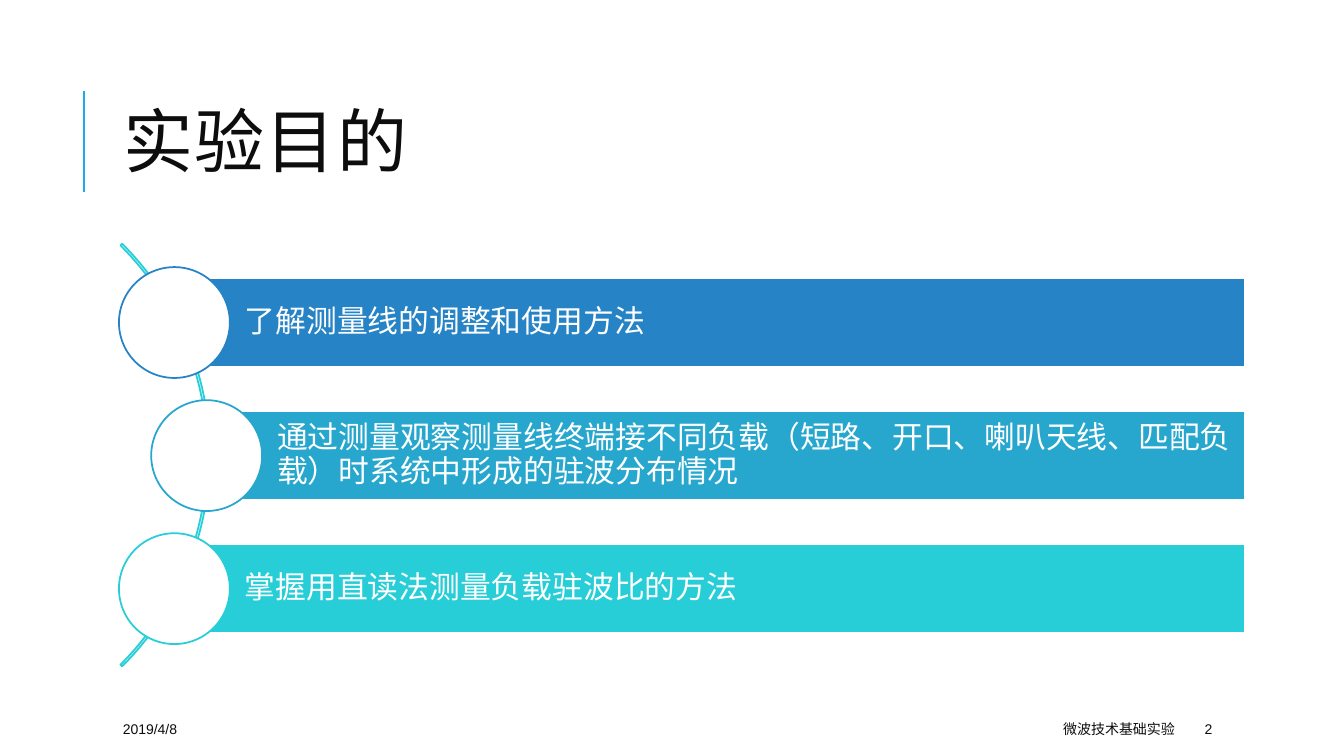
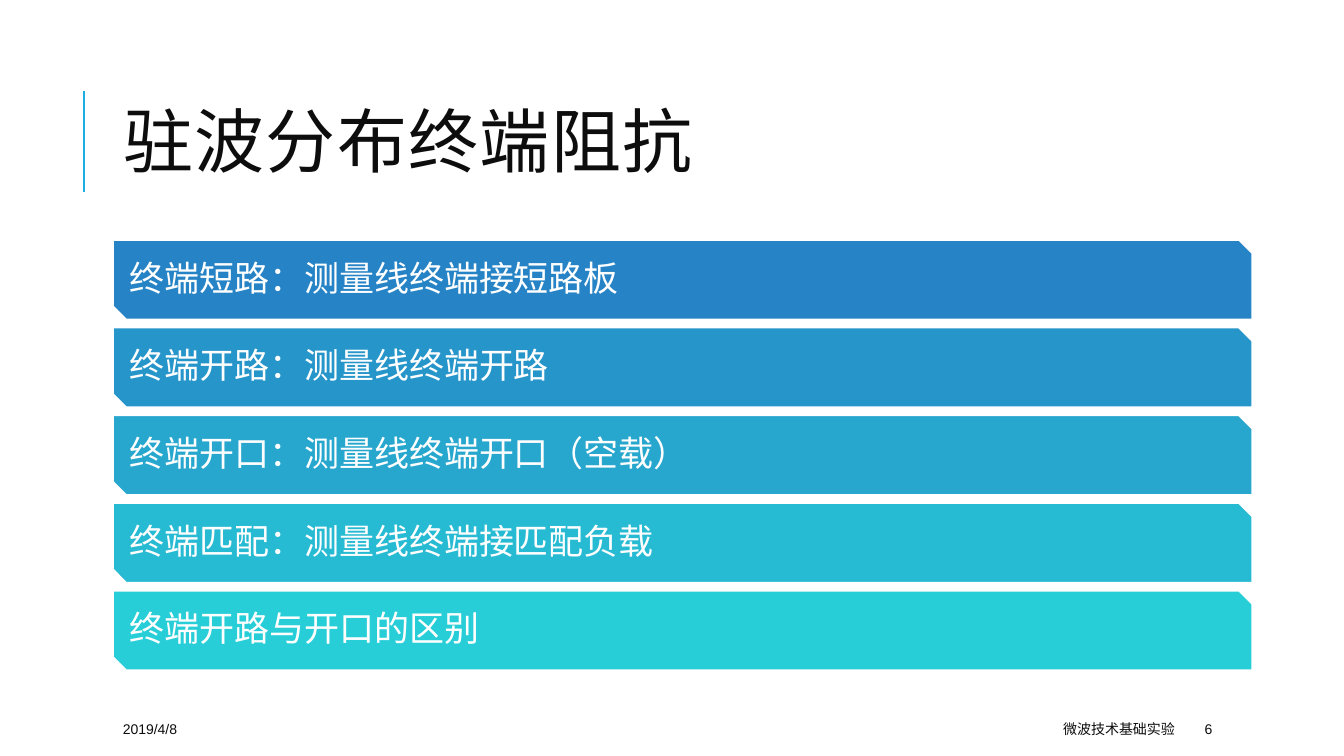
import dataclasses
import typing

import lxml.etree
import pptx
import pptx.dml.color
import pptx.enum.shapes
import pptx.enum.text
import pptx.oxml.ns
import pptx.util

Inches = pptx.util.Inches
Pt = pptx.util.Pt
Shapes = pptx.enum.shapes.MSO_SHAPE
Align = pptx.enum.text.PP_ALIGN
Anchor = pptx.enum.text.MSO_ANCHOR

COLOURS = {
    "ink": "0D0D0D",
    "white": "FFFFFF",
    "rule": "1CADE4",
    "blue": "2683C6",
    "azure": "2695CA",
    "sky": "27A7CE",
    "aqua": "27BAD3",
    "cyan": "27CED7",
}
FONT = "Arial"
LINE_WIDTH = 1.25


@dataclasses.dataclass(frozen=True)
class Place:
    left: float
    top: float
    width: float
    height: float

    def lengths(self) -> typing.List[int]:
        return [Inches(value) for value in dataclasses.astuple(self)]


@dataclasses.dataclass(frozen=True)
class TextStyle:
    size: float
    colour: str
    line_spacing: float = 1.0
    align: typing.Any = Align.LEFT
    insets: typing.Tuple[float, float, float, float] = (0.1, 0.05, 0.1, 0.05)


@dataclasses.dataclass(frozen=True)
class Item:
    text: str
    colour: str
    left: float = 0


@dataclasses.dataclass(frozen=True)
class FooterPart:
    text: str
    place: Place
    style: TextStyle


TITLE_PLACE = Place(1.12, 0.64, 11.3, 1.64)
TITLE_STYLE = TextStyle(50, "ink", 0.8)
SMALL = TextStyle(10, "ink")
SMALL_RIGHT = TextStyle(10, "ink", align=Align.RIGHT)
BAR_STYLE = TextStyle(22, "white", 0.9, insets=(0.7, 0.06, 0.06, 0.06))
BAND_STYLE = TextStyle(25, "white", 0.9, insets=(0.1, 0.1, 0.1, 0.1))

GOALS = [
    Item("了解测量线的调整和使用方法", "blue", 1.73),
    Item("通过测量观察测量线终端接不同负载（短路、开口、喇叭天线、匹配负载）时系统中形成的驻波分布情况", "sky", 2.05),
    Item("掌握用直读法测量负载驻波比的方法", "cyan", 1.73),
]
TERMINATIONS = [
    Item("终端短路：测量线终端接短路板", "blue"),
    Item("终端开路：测量线终端开路", "azure"),
    Item("终端开口：测量线终端开口（空载）", "sky"),
    Item("终端匹配：测量线终端接匹配负载", "aqua"),
    Item("终端开路与开口的区别", "cyan"),
]


def rgb(name: str) -> pptx.dml.color.RGBColor:
    return pptx.dml.color.RGBColor.from_string(COLOURS[name])


def apply(target: typing.Any, values: typing.Dict[str, typing.Any]) -> None:
    for name, value in values.items():
        setattr(target, name, value)


def write(shape: typing.Any, text: str, style: TextStyle) -> typing.Any:
    left, top, right, bottom = (Inches(inset) for inset in style.insets)
    frame = shape.text_frame
    apply(frame, {
        "auto_size": pptx.enum.text.MSO_AUTO_SIZE.NONE,
        "word_wrap": True,
        "vertical_anchor": Anchor.MIDDLE,
        "margin_left": left,
        "margin_top": top,
        "margin_right": right,
        "margin_bottom": bottom,
    })
    para = frame.paragraphs[0]
    apply(para, {"alignment": style.align, "line_spacing": style.line_spacing})
    span = para.add_run()
    span.text = text
    apply(span.font, {"name": FONT, "size": Pt(style.size)})
    span.font.color.rgb = rgb(style.colour)
    return span


def add_shape(page: typing.Any, kind: typing.Any, place: Place,
              fill: typing.Optional[str], line: str) -> typing.Any:
    shape = page.shapes.add_shape(kind, *place.lengths())
    shape.shadow.inherit = False
    if fill is None:
        shape.fill.background()
    else:
        shape.fill.solid()
        shape.fill.fore_color.rgb = rgb(fill)
    shape.line.color.rgb = rgb(line)
    shape.line.width = Pt(LINE_WIDTH)
    return shape


def add_title_rule(page: typing.Any) -> None:
    rule = page.shapes.add_connector(
        pptx.enum.shapes.MSO_CONNECTOR.STRAIGHT,
        Inches(0.83), Inches(1.9), Inches(0.83), Inches(0.9))
    rule.line.color.rgb = rgb("rule")
    rule.line.width = Pt(1.5)
    lxml.etree.SubElement(rule._element.spPr, pptx.oxml.ns.qn("a:effectLst"))


def add_page(deck: typing.Any, title: str, number: int) -> typing.Any:
    page = deck.slides.add_slide(deck.slide_layouts[5])
    add_title_rule(page)
    heading = page.shapes.title
    apply(heading, dict(zip(("left", "top", "width", "height"), TITLE_PLACE.lengths())))
    span = write(heading, title, TITLE_STYLE)
    span.font._element.set("spc", "100")
    for part in (
        FooterPart("2019/4/8", Place(1.12, 7.08, 2.36, 0.3), SMALL),
        FooterPart("微波技术基础实验", Place(5.3, 7.08, 6.45, 0.3), SMALL_RIGHT),
        FooterPart(str(number), Place(11.85, 7.08, 1.06, 0.3), SMALL),
    ):
        box = page.shapes.add_textbox(*part.place.lengths())
        write(box, part.text, part.style)
    return page


def add_goals(page: typing.Any, goals: typing.List[Item]) -> None:
    first_top, pitch, height, right, circle = 2.76, 1.32, 0.88, 12.35, 1.1
    arc = add_shape(page, Shapes.BLOCK_ARC, Place(-3.85, 1.55, 5.93, 5.93), None, "cyan")
    for index, value in enumerate((189, 27, 0.004)):
        arc.adjustments[index] = value
    for row, goal in enumerate(goals):
        top = first_top + row * pitch
        bar = add_shape(page, Shapes.RECTANGLE,
                        Place(goal.left, top, right - goal.left, height), goal.colour, "white")
        write(bar, goal.text, BAR_STYLE)
        add_shape(page, Shapes.OVAL,
                  Place(goal.left - circle / 2, top - (circle - height) / 2, circle, circle),
                  "white", goal.colour)


def add_bands(page: typing.Any, items: typing.List[Item]) -> None:
    first_top, pitch, height = 2.38, 0.87, 0.79
    for row, item in enumerate(items):
        band = add_shape(page, Shapes.SNIP_2_DIAG_RECTANGLE,
                         Place(1.12, first_top + row * pitch, 11.3, height),
                         item.colour, "white")
        write(band, item.text, BAND_STYLE)


def main() -> None:
    deck = pptx.Presentation()
    apply(deck, {"slide_width": Inches(13.33), "slide_height": Inches(7.5)})
    add_goals(add_page(deck, "实验目的", 2), GOALS)
    add_bands(add_page(deck, "驻波分布终端阻抗", 6), TERMINATIONS)
    deck.save("out.pptx")


if __name__ == "__main__":
    main()
